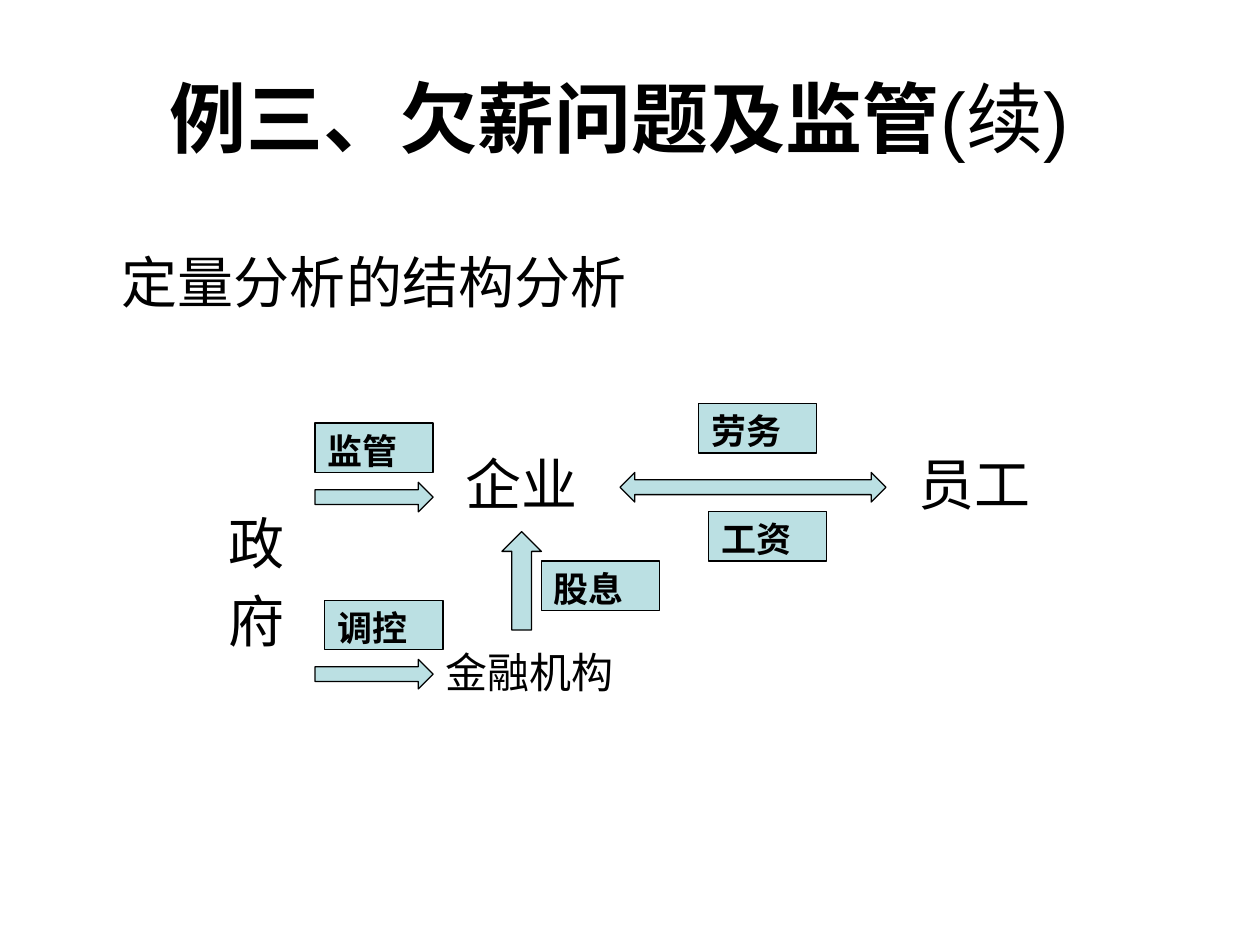
from dataclasses import dataclass

from pptx import Presentation
from pptx.dml.color import RGBColor
from pptx.enum import shapes, text
from pptx.util import Pt

Kind = shapes.MSO_SHAPE


@dataclass(frozen=True)
class Theme:
    font: str = "Arial"
    ink: RGBColor = RGBColor(0, 0, 0)
    fill: RGBColor = RGBColor(0xBB, 0xE0, 0xE3)
    title: int = 44
    body: int = 32
    small: int = 24
    tag: int = 20
    line: float = 0.75
    gap: float = 0.2  # space before, as a share of the type size


@dataclass(frozen=True)
class Label:
    x: float
    y: float
    w: float
    h: float
    lines: tuple[str, ...]
    size: int


@dataclass(frozen=True)
class Tag:
    x: float
    y: float
    words: str


@dataclass(frozen=True)
class Arrow:
    kind: Kind
    x: float
    y: float
    w: float
    h: float


THEME = Theme()
TAG_W, TAG_H = 67.5, 28.2

LABELS = [
    Label(258.75, 253.2, 90, 50.4, ("企业",), THEME.body),
    Label(62.6, 138, 320.4, 54, ("定量分析的结构分析",), THEME.body),
    Label(517.6, 253.2, 84.2, 54, ("员工",), THEME.body),
    Label(247.5, 365.7, 118, 45.4, ("金融机构",), THEME.small),
    Label(123.8, 286.8, 50.4, 106.6, ("政", "府"), THEME.body),
]
ARROWS = [
    Arrow(Kind.UP_ARROW, 286.8, 303.8, 22.6, 56.2),
    Arrow(Kind.LEFT_RIGHT_ARROW, 354.3, 270, 152, 16.9),
    Arrow(Kind.RIGHT_ARROW, 180, 275.6, TAG_W, 16.9),
    Arrow(Kind.RIGHT_ARROW, 180, 376.8, TAG_W, 16.9),
]
TAGS = [
    Tag(309.4, 320.6, "股息"),
    Tag(399.3, 230.6, "劳务"),
    Tag(405, 292.4, "工资"),
    Tag(180, 241.8, "监管"),
    Tag(185.6, 343.1, "调控"),
]


def add_run(para, words: str, size: int, bold: bool = False) -> None:
    run = para.add_run()
    run.text = words
    run.font.name = THEME.font
    run.font.size = Pt(size)
    run.font.bold = bold
    run.font.color.rgb = THEME.ink


def add_box(slide, x: float, y: float, w: float, h: float):
    frame = slide.shapes.add_textbox(Pt(x), Pt(y), Pt(w), Pt(h)).text_frame
    frame.word_wrap = True
    return frame


def draw_title(slide) -> None:
    frame = add_box(slide, 36, 21.6, 648, 90)
    frame.vertical_anchor = text.MSO_ANCHOR.MIDDLE
    para = frame.paragraphs[0]
    para.alignment = text.PP_ALIGN.CENTER
    add_run(para, "例三、欠薪问题及监管", THEME.title, bold=True)
    add_run(para, "(续) ", THEME.title)


def draw_label(slide, label: Label) -> None:
    frame = add_box(slide, label.x, label.y, label.w, label.h)
    for i, words in enumerate(label.lines):
        para = frame.add_paragraph() if i else frame.paragraphs[0]
        para.space_before = Pt(label.size * THEME.gap)
        add_run(para, words, label.size)


def draw_shape(slide, kind: Kind, x: float, y: float, w: float, h: float):
    shape = slide.shapes.add_shape(kind, Pt(x), Pt(y), Pt(w), Pt(h))
    shape.shadow.inherit = False
    shape.fill.solid()
    shape.fill.fore_color.rgb = THEME.fill
    shape.line.color.rgb = THEME.ink
    shape.line.width = Pt(THEME.line)
    return shape


def draw_arrow(slide, arrow: Arrow) -> None:
    draw_shape(slide, arrow.kind, arrow.x, arrow.y, arrow.w, arrow.h)


def draw_tag(slide, tag: Tag) -> None:
    shape = draw_shape(slide, Kind.RECTANGLE, tag.x, tag.y, TAG_W, TAG_H)
    frame = shape.text_frame
    frame.word_wrap = True
    frame.vertical_anchor = text.MSO_ANCHOR.TOP
    para = frame.paragraphs[0]
    para.alignment = text.PP_ALIGN.LEFT
    add_run(para, tag.words, THEME.tag, bold=True)


def main() -> None:
    deck = Presentation()
    deck.slide_width, deck.slide_height = Pt(720), Pt(540)
    slide = deck.slides.add_slide(deck.slide_layouts[6])

    # Title and node names
    draw_title(slide)
    for label in LABELS:
        draw_label(slide, label)

    # Flows between the nodes
    for arrow in ARROWS:
        draw_arrow(slide, arrow)
    for tag in TAGS:
        draw_tag(slide, tag)

    deck.save("out.pptx")


if __name__ == "__main__":
    main()
